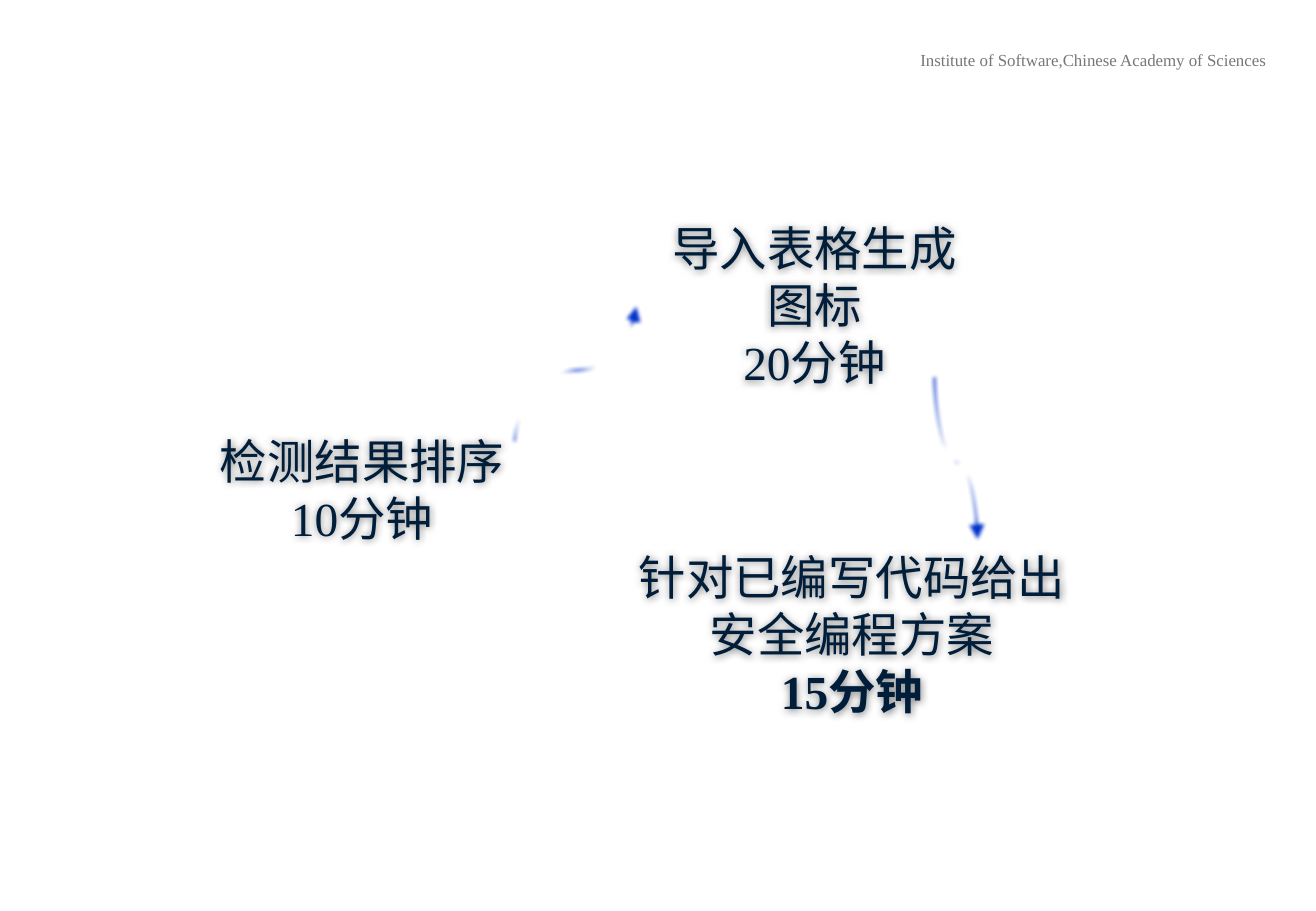
import pptx
import pptx.dml.color
import pptx.enum.shapes
import pptx.enum.text
import pptx.oxml
import pptx.oxml.ns
import pptx.util
from dataclasses import dataclass

Cm = pptx.util.Cm
Pt = pptx.util.Pt
NAMESPACE = pptx.oxml.ns.nsdecls("a")


@dataclass(frozen=True)
class Theme:
    font: str = "Times New Roman"
    blue: str = "0033CC"
    navy: str = "001D3A"
    grey: str = "777777"
    step_size: float = 28.1
    header_size: float = 10
    outline: float = 4.5
    arrow: float = 6


theme = Theme()
SOFT_EDGE = f'<a:softEdge {NAMESPACE} rad="31750"/>'
SHADOW = (
    f'<a:outerShdw {NAMESPACE} blurRad="63500" dist="0" dir="16200000" rotWithShape="0">'
    '<a:srgbClr val="000000"><a:alpha val="50000"/></a:srgbClr></a:outerShdw>'
)


def write_text(shape, lines, *, size, color, wrap=True, bold_last=False):
    frame = shape.text_frame
    frame.word_wrap = wrap
    frame.auto_size = pptx.enum.text.MSO_AUTO_SIZE.SHAPE_TO_FIT_TEXT
    frame.text = "\n".join(lines)
    for paragraph in frame.paragraphs:
        paragraph.alignment = pptx.enum.text.PP_ALIGN.CENTER
        for run in paragraph.runs:
            run.font.name = theme.font
            run.font.size = Pt(size)
            run.font.color.rgb = pptx.dml.color.RGBColor.from_string(color)
    if bold_last:
        frame.paragraphs[-1].runs[0].font.bold = True
    return frame


def draw_line(line, width):
    line.color.rgb = pptx.dml.color.RGBColor.from_string(theme.blue)
    line.width = Pt(width)


presentation = pptx.Presentation()
presentation.slide_width = Cm(27.51)
presentation.slide_height = Cm(19.05)
slide = presentation.slides.add_slide(presentation.slide_layouts[6])

header = slide.shapes.add_textbox(Cm(18.95), Cm(0.91), Cm(7.8), Cm(0.69))
write_text(header, ["Institute of Software,Chinese Academy of Sciences"],
           size=theme.header_size, color=theme.grey, wrap=False)

# Steps: left, top, width, height, lines, bold time
steps = [
    (4.19, 8.92, 6.76, 2.62, ["检测结果排序", "10分钟"], False),
    (13.61, 4.47, 6.83, 3.81, ["导入表格生成图标", "20分钟"], False),
    (13.06, 11.35, 9.5, 3.81, ["针对已编写代码给出安全编程方案", "15分钟"], True),
]
for left, top, width, height, lines, bold_time in steps:
    step = slide.shapes.add_shape(pptx.enum.shapes.MSO_SHAPE.RECTANGLE,
                                  Cm(left), Cm(top), Cm(width), Cm(height))
    step.fill.background()
    draw_line(step.line, theme.outline)
    step.shadow.inherit = False
    effects = step._element.spPr.find(pptx.oxml.ns.qn("a:effectLst"))
    for effect in (SHADOW, SOFT_EDGE):
        effects.append(pptx.oxml.parse_xml(effect))
    frame = write_text(step, lines, size=theme.step_size, color=theme.navy,
                       bold_last=bold_time)
    frame.vertical_anchor = pptx.enum.text.MSO_ANCHOR.MIDDLE
    frame.margin_left = frame.margin_right = Cm(0.1)
    frame.margin_top = frame.margin_bottom = Cm(0.1)

# Arrows: ends before turning, then the turn in degrees
arrows = [
    (13.61, 9.02, 10.49, 6.45, 90),
    (21.84, 9.22, 18.14, 10.11, 270),
]
for begin_x, begin_y, end_x, end_y, turn in arrows:
    arrow = slide.shapes.add_connector(pptx.enum.shapes.MSO_CONNECTOR.CURVE,
                                       Cm(begin_x), Cm(begin_y), Cm(end_x), Cm(end_y))
    draw_line(arrow.line, theme.arrow)
    properties = arrow._element.spPr
    properties.find(pptx.oxml.ns.qn("a:xfrm")).set("rot", str(turn * 60000))
    properties.find(pptx.oxml.ns.qn("a:ln")).append(
        pptx.oxml.parse_xml(f'<a:tailEnd {NAMESPACE} type="triangle"/>'))
    properties.append(
        pptx.oxml.parse_xml(f"<a:effectLst {NAMESPACE}>{SOFT_EDGE}</a:effectLst>"))

presentation.save("out.pptx")
